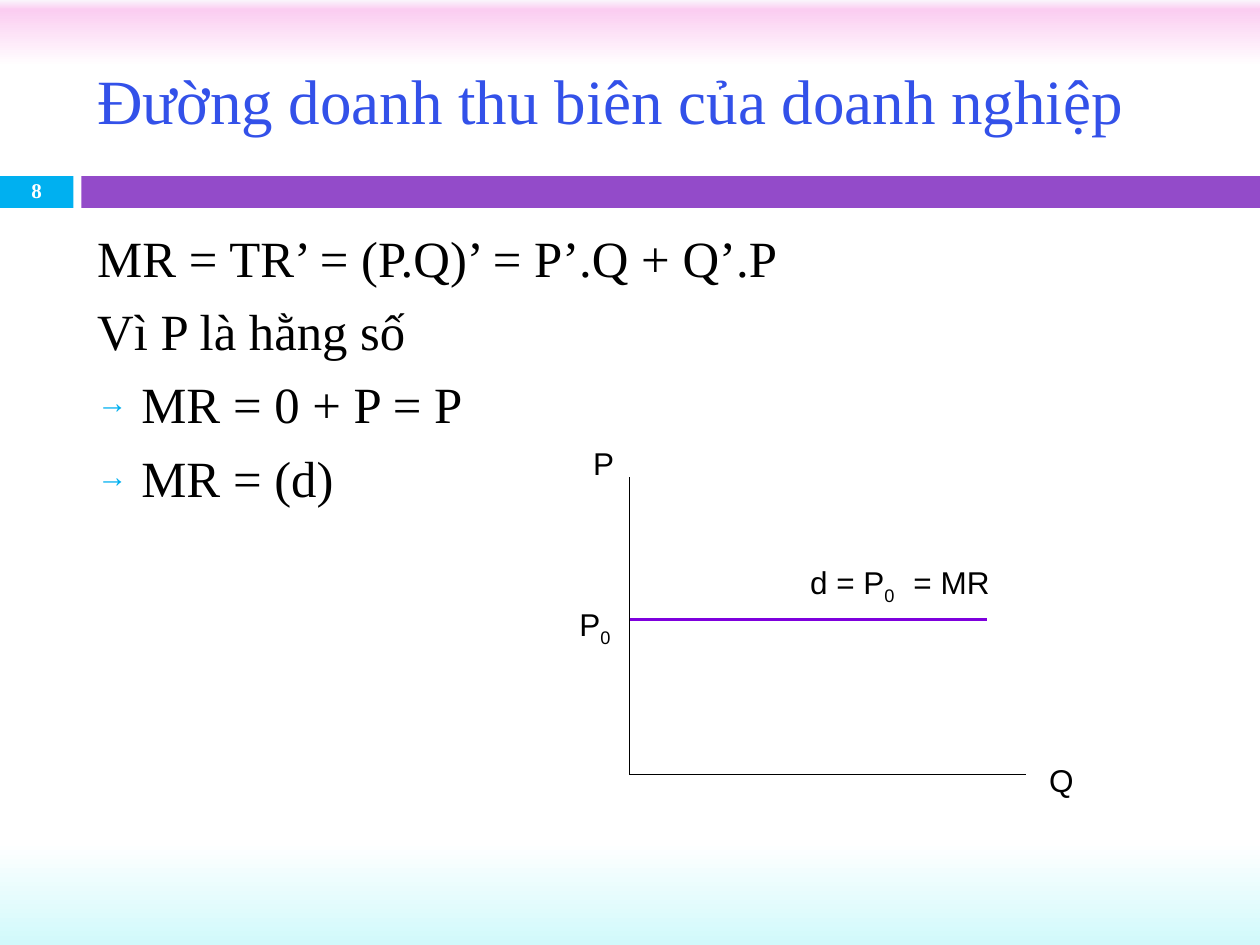
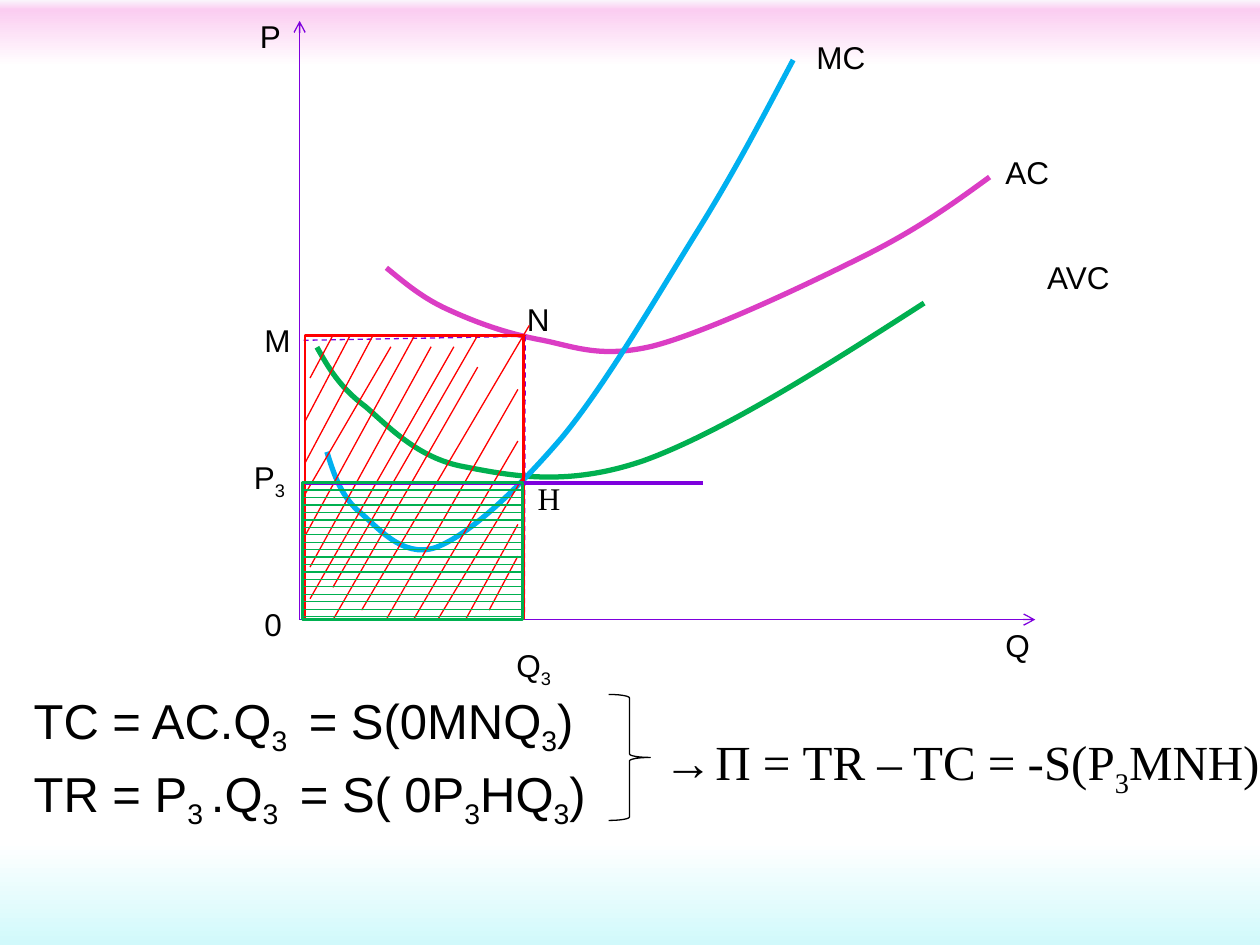
from collections import namedtuple

from lxml import etree
from pptx import Presentation
from pptx.dml.color import RGBColor
from pptx.enum.dml import MSO_LINE
from pptx.enum.shapes import MSO_CONNECTOR, MSO_SHAPE
from pptx.enum.text import MSO_ANCHOR, PP_ALIGN
from pptx.oxml.ns import qn
from pptx.util import Cm, Pt

STRAIGHT = MSO_CONNECTOR.STRAIGHT
RECT, BRACE = MSO_SHAPE.RECTANGLE, MSO_SHAPE.RIGHT_BRACE
DASH = MSO_LINE.DASH
TOP, MIDDLE = MSO_ANCHOR.TOP, MSO_ANCHOR.MIDDLE
LEFT, CENTER = PP_ALIGN.LEFT, PP_ALIGN.CENTER
SANS, SERIF = "Arial", "Times New Roman"
COLORS = {
    "black": "000000", "white": "FFFFFF", "title": "3351E9",
    "sky": "00B0F0", "band": "934BC9", "violet": "7E00DD",
    "green": "00B050", "pink": "DB3DC4", "red": "FF0000",
}
FADE = [(0, "FAF6FC"), (1, "FBCDF1"), (7, "FFFFFF"),
        (89, "FFFFFF"), (100, "D1F9FB")]
Box = namedtuple("Box", "x y w h")

# Cost curves: a start point, then three Bezier points per segment
AVC = [(.35, 6.58), (.58, 6.99), (.81, 7.39), (1.32, 7.77),
       (1.8, 8.18), (2.38, 8.82), (3.32, 8.99),
       (4.26, 9.17), (5.38, 9.4), (6.93, 8.87),
       (8.48, 8.31), (10.54, 7.01), (12.59, 5.69)]
AC = [(1.75, 4.98), (2.13, 5.29), (2.48, 5.59), (2.99, 5.82),
      (3.53, 6.07), (4.16, 6.3), (4.85, 6.43),
      (5.53, 6.56), (6.04, 6.81), (7.11, 6.56),
      (8.2, 6.28), (10.18, 5.34), (11.3, 4.78),
      (12.44, 4.22), (13.18, 3.68), (13.91, 3.15)]
MC = [(.55, 8.69), (.68, 9.1), (.81, 9.53), (1.16, 9.86),
      (1.54, 10.16), (2.05, 10.85), (2.74, 10.62),
      (3.42, 10.37), (4.39, 9.45), (5.28, 8.41),
      (6.17, 7.34), (7.23, 5.51), (8.02, 4.24),
      (8.81, 2.97), (9.37, 1.88), (9.95, .79)]
# Hatch strokes of the total cost area: x, y of both ends
STROKES = [
    (4.29, 1.09, 1.63, 5.74), (4.52, -.2, 1.14, 5.54), (3, .23, .1, 5.31),
    (4.29, 2.13, 2.18, 5.74), (4.39, 2.87, 2.67, 5.74),
    (4.29, 3.81, 3.23, 5.74), (4.29, 4.45, 3.71, 5.54),
    (2.21, 0, 0, 4.04), (.56, 0, .1, .86), (.91, 0, 0, 1.73),
    (1.37, 0, 0, 2.57), (1.73, .23, 0, 3.2), (2.54, .23, .1, 4.67),
    (3.48, 0, .56, 5.08), (3.48, .64, .56, 5.74),
]


def rgb(name):
    return RGBColor.from_string(COLORS[name])


def inner(box, x, y, w=0, h=0):
    """Box placed at x, y inside another box."""
    return Box(box.x + x, box.y + y, w, h)


def write(slide, box, words, size=18, font=SANS, color="black", bold=False,
          align=LEFT, anchor=TOP, wrap=False, gap=0, lead=None, marks=()):
    """Lines of text; parts between underscores are subscripts."""
    shape = slide.shapes.add_textbox(*map(Cm, box))
    frame = shape.text_frame
    frame.word_wrap, frame.vertical_anchor = wrap, anchor
    for i, line in enumerate(words.split("\n")):
        para = frame.paragraphs[0] if i == 0 else frame.add_paragraph()
        if i in marks:
            bullet(para, "→")
        para.alignment = align
        if lead:
            para.line_spacing = lead
        if i:
            para.space_before = Pt(gap)
        for k, part in enumerate(line.split("_")):
            if not part:
                continue
            run = para.add_run()
            run.text = part
            run.font.size, run.font.name = Pt(size), font
            run.font.bold = bold
            run.font.color.rgb = rgb(color)
            if k % 2:
                run._r.get_or_add_rPr().set("baseline", "-25000")


def bullet(para, sign):
    props = para._p.get_or_add_pPr()
    props.set("marL", str(Cm(.89)))
    props.set("indent", str(-Cm(.89)))
    tint = etree.SubElement(props, qn("a:buClr"))
    etree.SubElement(tint, qn("a:srgbClr"), val=COLORS["sky"])
    etree.SubElement(props, qn("a:buSzPct"), val="60000")
    etree.SubElement(props, qn("a:buFont"), typeface=SERIF)
    etree.SubElement(props, qn("a:buChar"), char=sign)


def draw(slide, box, kind=RECT, fill=None, line=None, width=.75):
    shape = slide.shapes.add_shape(kind, *map(Cm, box))
    paint(shape, fill, line, width)


def paint(shape, fill, line, width):
    shape.shadow.inherit = False
    if fill:
        shape.fill.solid()
        shape.fill.fore_color.rgb = rgb(fill)
    else:
        shape.fill.background()
    if line:
        shape.line.color.rgb = rgb(line)
        shape.line.width = Pt(width)
    else:
        shape.line.fill.background()


def rule(slide, box, x1, y1, x2, y2, color="black", width=.75,
         dash=None, arrow=False):
    ends = (box.x + x1, box.y + y1, box.x + x2, box.y + y2)
    link = slide.shapes.add_connector(STRAIGHT, *map(Cm, ends))
    link.line.color.rgb = rgb(color)
    link.line.width = Pt(width)
    if dash:
        link.line.dash_style = dash
    props = link._element.spPr
    if arrow:
        etree.SubElement(props.find(qn("a:ln")), qn("a:tailEnd"), type="arrow")
    etree.SubElement(props, qn("a:effectLst"))


def curve(slide, box, points, color):
    """Open line whose points are joined by Bezier segments."""
    spots = [(Cm(box.x + x), Cm(box.y + y)) for x, y in points]
    pen = slide.shapes.build_freeform(*spots[0])
    pen.add_line_segments(spots[1:], close=False)
    shape = pen.convert_to_shape()
    route = shape._element.find(".//" + qn("a:moveTo")).getparent()
    legs = route.findall(qn("a:lnTo"))
    for i in range(0, len(legs), 3):
        bend = etree.SubElement(route, qn("a:cubicBezTo"))
        for leg in legs[i:i + 3]:
            bend.append(leg[0])
            route.remove(leg)
    paint(shape, None, color, 3)


def label(slide, box, items):
    for words, x, y, w in items:
        write(slide, inner(box, x, y, w, 1.02), words)


def backdrop(master):
    fill = master.background.fill
    fill.gradient()
    fill.gradient_angle = 270
    stops = master._element.find(".//" + qn("a:gsLst"))
    for stop in list(stops):
        stops.remove(stop)
    for pos, tone in FADE:
        stop = etree.SubElement(stops, qn("a:gs"), pos=str(pos * 1000))
        etree.SubElement(stop, qn("a:srgbClr"), val=tone)


def header(slide, box, title, number):
    # Title above a band with the slide number
    draw(slide, inner(box, 0, 3.43, box.w, .89), fill="white")
    draw(slide, inner(box, 0, 3.55, 1.48, .64), fill="sky")
    draw(slide, inner(box, 1.64, 3.55, box.w - 1.64, .64), fill="band")
    write(slide, inner(box, 1.71, .63, 22.66, 2.74), title, size=36,
          font=SERIF, color="title", anchor=MIDDLE, wrap=True)
    write(slide, inner(box, 0, 3.53, 1.48, .69), number, size=12, font=SERIF,
          color="white", bold=True, align=CENTER, anchor=MIDDLE, wrap=True,
          lead=.8)


def demand(slide, box):
    # Axes, labels and the flat demand line
    rule(slide, box, 0, 0, 0, box.h)
    rule(slide, box, 0, box.h, box.w, box.h)
    label(slide, box, [("P", -.98, -.8, .99), ("Q", 8.21, 5.59, .99),
                       ("P_0_", -1.26, 2.45, 1.4),
                       ("d = P_0  _ = MR", 3.39, 1.61, 4.7)])
    rule(slide, box, 0, 2.87, 7.2, 2.87, "violet", 2.25)


def costs(slide, box):
    # Axes, curves and their labels
    group = slide.shapes.add_group_shape()
    rule(group, box, 0, box.h, 0, 0, "violet", arrow=True)
    rule(group, box, 0, box.h, box.w, box.h, "violet", arrow=True)
    for points, color in ((AVC, "green"), (AC, "pink"), (MC, "sky")):
        curve(group, box, points, color)
    label(group, box, [
        ("AVC", 14.82, 4.66, 1.78), ("AC", 13.98, 2.55, 1.4),
        ("MC", 10.17, .22, 1.5), ("Q", 13.98, 12.08, 1.02),
        ("P", -1.05, -.21, .94), ("0", -.96, 11.65, .86)])
    # Guides and points
    rule(slide, box, 4.55, 6.36, 4.53, box.h, "violet", dash=DASH)
    label(slide, box, [("P_3_", -1.17, 8.69, 1.17),
                       ("Q_3_", 4.12, 12.48, 1.24)])
    rule(slide, box, 4.55, 6.36, .08, 6.44, "violet", dash=DASH)
    label(slide, box, [("N", 4.33, 5.5, .97), ("M", -.96, 5.93, 1.04)])
    # Areas, with the price line between them
    outlay(slide, inner(box, .11, 6.34, 4.41, 5.72))
    rule(slide, box, 8.13, 9.31, .11, 9.31, "violet", 2.25)
    write(slide, inner(box, 4.55, 9.11, .97, 1.02), "H", font=SERIF)
    income(slide, inner(box, .06, 9.31, 4.43, 2.76))


def outlay(slide, box):
    # Total cost: slanted hatching
    group = slide.shapes.add_group_shape()
    rule(group, box, box.w + .05, 0, 0, 0, "red", dash=DASH)
    draw(group, box, line="red", width=1.5)
    for stroke in STROKES:
        rule(group, box, *stroke, "red")


def income(slide, box):
    # Total revenue: level hatching
    group = slide.shapes.add_group_shape()
    draw(group, box, line="green", width=1.5)
    for n in range(1, 19):
        rule(group, box, 0, n * .15, box.w, n * .15, "green")


def sums(slide, box):
    # Two formulas braced into the result
    write(slide, inner(box, 0, 0, 11.63, 1.45),
          "TC = AC.Q_3 _ = S(0MNQ_3_)", size=28)
    write(slide, inner(box, 0, 1.48, 12.7, 1.45),
          "TR = P_3 _.Q_3 _ = S( 0P_3_HQ_3_)", size=28, wrap=True)
    write(slide, inner(box, 13.74, .84, 11.63, 1.45),
          "Π = TR – TC = -S(P_3_MNH)", size=28, font=SERIF, wrap=True)
    draw(slide, inner(box, 11.84, .21, .84, 2.54), BRACE, line="black")
    write(slide, inner(box, 12.7, .84, 1.47, 1.45), "→", size=28,
          font=SERIF, wrap=True)


def main():
    deck = Presentation()
    deck.slide_width, deck.slide_height = Cm(25.4), Cm(19.05)
    backdrop(deck.slide_master)
    blank = deck.slide_layouts[6]

    # Marginal revenue
    slide = deck.slides.add_slide(blank)
    header(slide, Box(0, 0, 25.4, 4.32),
           "Đường doanh thu biên của doanh nghiệp", "8")
    write(slide, Box(1.71, 4.45, 22.66, 12.5),
          "MR = TR’ = (P.Q)’ = P’.Q + Q’.P\nVì P là hằng số\n"
          "MR = 0 + P = P\nMR = (d)",
          size=29, font=SERIF, wrap=True, gap=7, marks=(2, 3))
    demand(slide, Box(12.69, 9.62, 8, 6))

    # Loss area
    slide = deck.slides.add_slide(blank)
    costs(slide, Box(6.04, .42, 14.83, 12.07))
    sums(slide, Box(.43, 13.79, 24.97, 2.93))
    deck.save("out.pptx")


if __name__ == "__main__":
    main()
